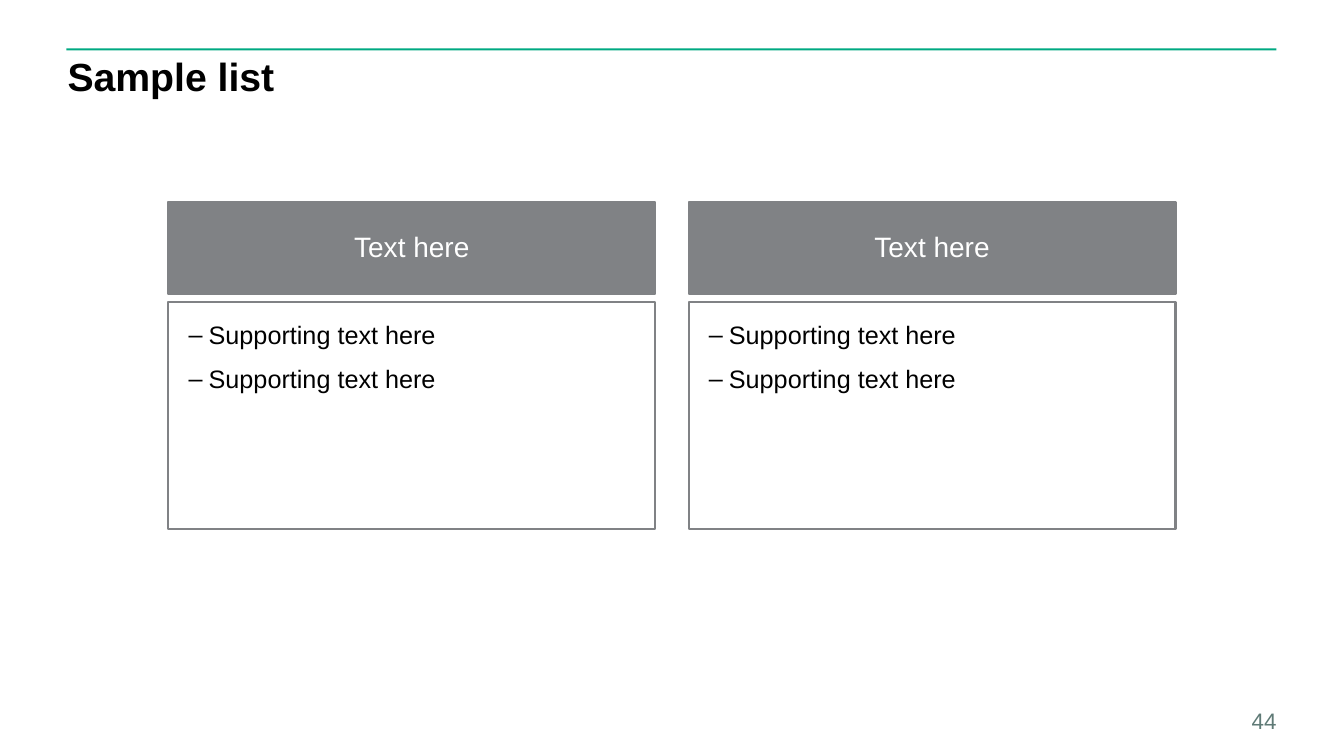
"""Build the "Sample list" slide: two headed panels of supporting points."""
import dataclasses
import typing

import lxml.etree
import pptx
import pptx.dml.color
import pptx.enum.shapes
import pptx.enum.text
import pptx.oxml.ns
import pptx.util

Inches = pptx.util.Inches
Pt = pptx.util.Pt
RGBColor = pptx.dml.color.RGBColor
Align = pptx.enum.text.PP_ALIGN
Anchor = pptx.enum.text.MSO_ANCHOR

FONT = "Arial"
RULE_GREEN = RGBColor(0x00, 0xA9, 0x82)
GRAY = RGBColor(0x80, 0x82, 0x85)
NUMBER_GRAY = RGBColor(0x5F, 0x7A, 0x76)
BLACK = RGBColor(0x00, 0x00, 0x00)
WHITE = RGBColor(0xFF, 0xFF, 0xFF)

PANEL_WIDTH = 4.83
BULLET_INDENT = Inches(0.2)


@dataclasses.dataclass(frozen=True)
class Box:
    left: float
    top: float
    width: float
    height: float

    def lengths(self) -> tuple:
        return tuple(Inches(v) for v in dataclasses.astuple(self))


@dataclasses.dataclass(frozen=True)
class TextStyle:
    size: int
    color: RGBColor
    align: Align = Align.LEFT
    anchor: Anchor = Anchor.TOP
    bold: bool = False
    wrap: bool = True
    line_spacing: float = 0.9
    margins: tuple[float, float] = (0, 0)


@dataclasses.dataclass(frozen=True)
class Panel:
    left: float
    heading: str
    points: tuple[str, ...]


TITLE = TextStyle(28, BLACK, bold=True)
HEADING = TextStyle(20, WHITE, Align.CENTER, Anchor.MIDDLE, margins=(0.1, 0.05))
POINTS = TextStyle(18, BLACK, margins=(0.2, 0.2))
PAGE_NUMBER = TextStyle(16, NUMBER_GRAY, Align.RIGHT, Anchor.BOTTOM,
                        wrap=False, line_spacing=1.0)

PANELS = [
    Panel(left, "Text here", ("Supporting text here",) * 2)
    for left in (1.67, 6.83)
]


def write(frame: typing.Any, text: str, style: TextStyle) -> None:
    frame.text = text
    frame.word_wrap = style.wrap
    frame.vertical_anchor = style.anchor
    side, end = style.margins
    frame.margin_left = frame.margin_right = Inches(side)
    frame.margin_top = frame.margin_bottom = Inches(end)
    for paragraph in frame.paragraphs:
        paragraph.alignment = style.align
        paragraph.line_spacing = style.line_spacing
        for run in paragraph.runs:
            run.font.name = FONT
            run.font.size = Pt(style.size)
            run.font.bold = style.bold
            run.font.color.rgb = style.color


def add_label(slide: typing.Any, box: Box, text: str, style: TextStyle) -> None:
    write(slide.shapes.add_textbox(*box.lengths()).text_frame, text, style)


def add_block(slide: typing.Any, box: Box, fill: RGBColor | None,
              line: RGBColor | None = None) -> typing.Any:
    block = slide.shapes.add_shape(
        pptx.enum.shapes.MSO_SHAPE.RECTANGLE, *box.lengths())
    block.shadow.inherit = False
    if fill is None:
        block.fill.background()
    else:
        block.fill.solid()
        block.fill.fore_color.rgb = fill
    if line is None:
        block.line.fill.background()
    else:
        block.line.color.rgb = line
        block.line.width = Pt(1.5)
    return block


def add_dash(paragraph: typing.Any) -> None:
    paragraph.space_before = Pt(12)
    properties = paragraph._p.get_or_add_pPr()
    properties.set("marL", str(BULLET_INDENT))
    properties.set("indent", str(-BULLET_INDENT))
    for tag, key, value in (("a:buFont", "typeface", FONT),
                            ("a:buChar", "char", "–")):
        lxml.etree.SubElement(properties, pptx.oxml.ns.qn(tag)).set(key, value)


def add_panel(slide: typing.Any, panel: Panel) -> None:
    header = add_block(slide, Box(panel.left, 2, PANEL_WIDTH, 0.92), GRAY, GRAY)
    write(header.text_frame, panel.heading, HEADING)
    body = add_block(slide, Box(panel.left, 3, PANEL_WIDTH, 2.25), None, GRAY)
    write(body.text_frame, "\n".join(panel.points), POINTS)
    for paragraph in body.text_frame.paragraphs:
        add_dash(paragraph)


def main() -> None:
    deck = pptx.Presentation()
    deck.slide_width = Inches(13.33)
    deck.slide_height = Inches(7.5)
    slide = deck.slides.add_slide(deck.slide_layouts[6])

    add_block(slide, Box(0.66, 0.48, 12, 0.02), RULE_GREEN)
    add_label(slide, Box(0.67, 0.57, 12, 0.93), "Sample list", TITLE)
    for panel in PANELS:
        add_panel(slide, panel)
    add_label(slide, Box(12.08, 7.03, 0.58, 0.25), "44", PAGE_NUMBER)

    deck.save("out.pptx")


if __name__ == "__main__":
    main()
